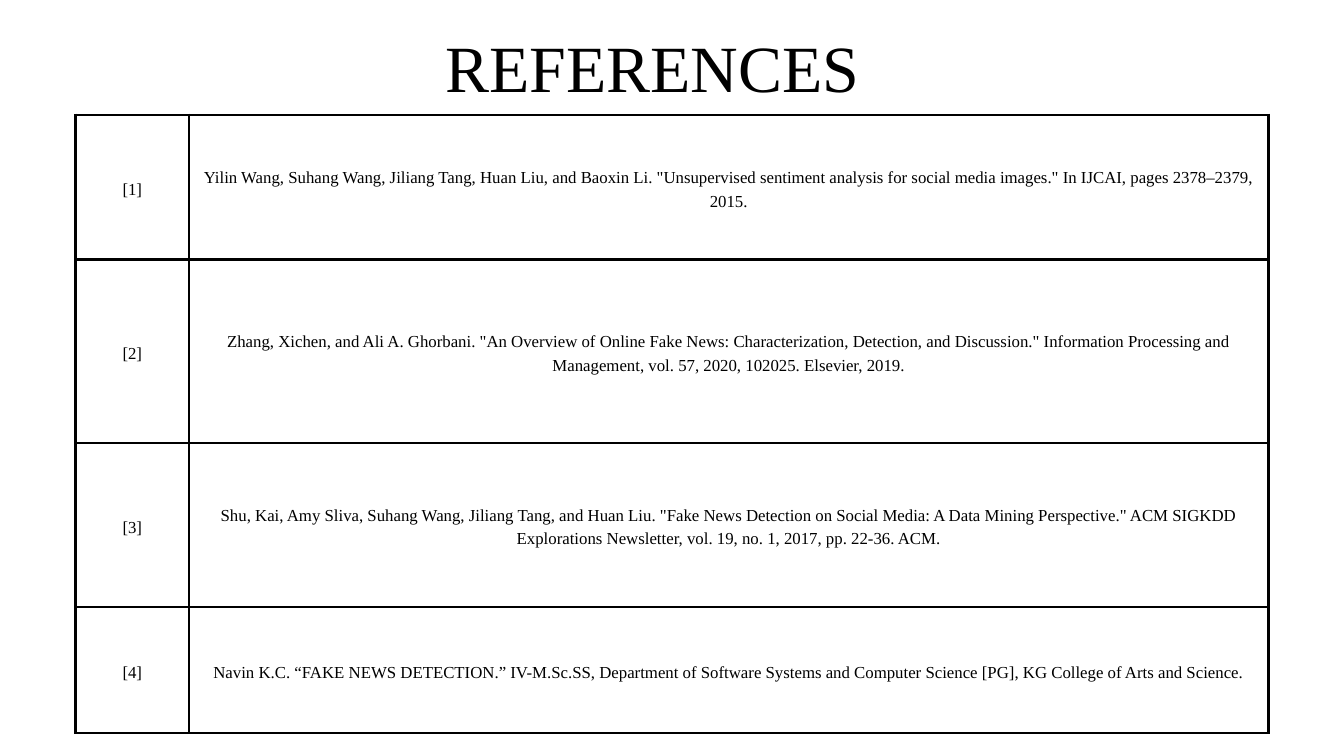
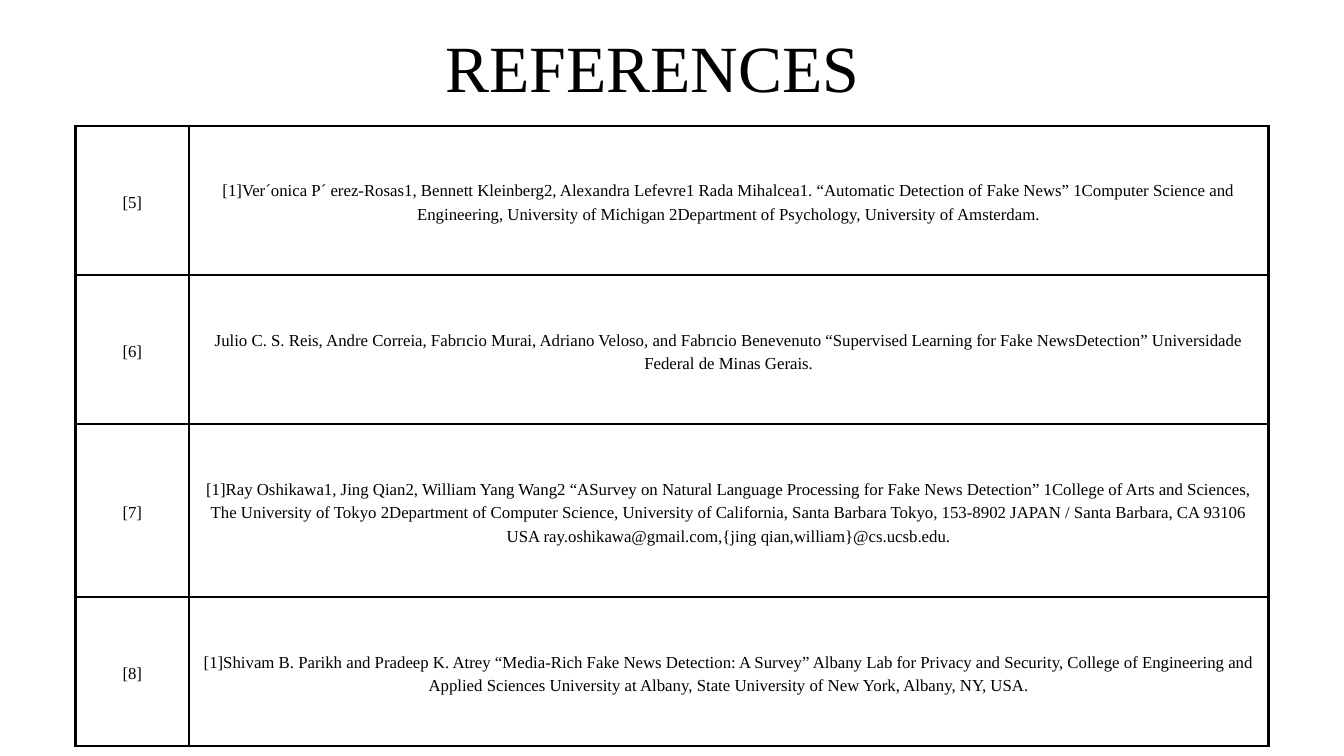
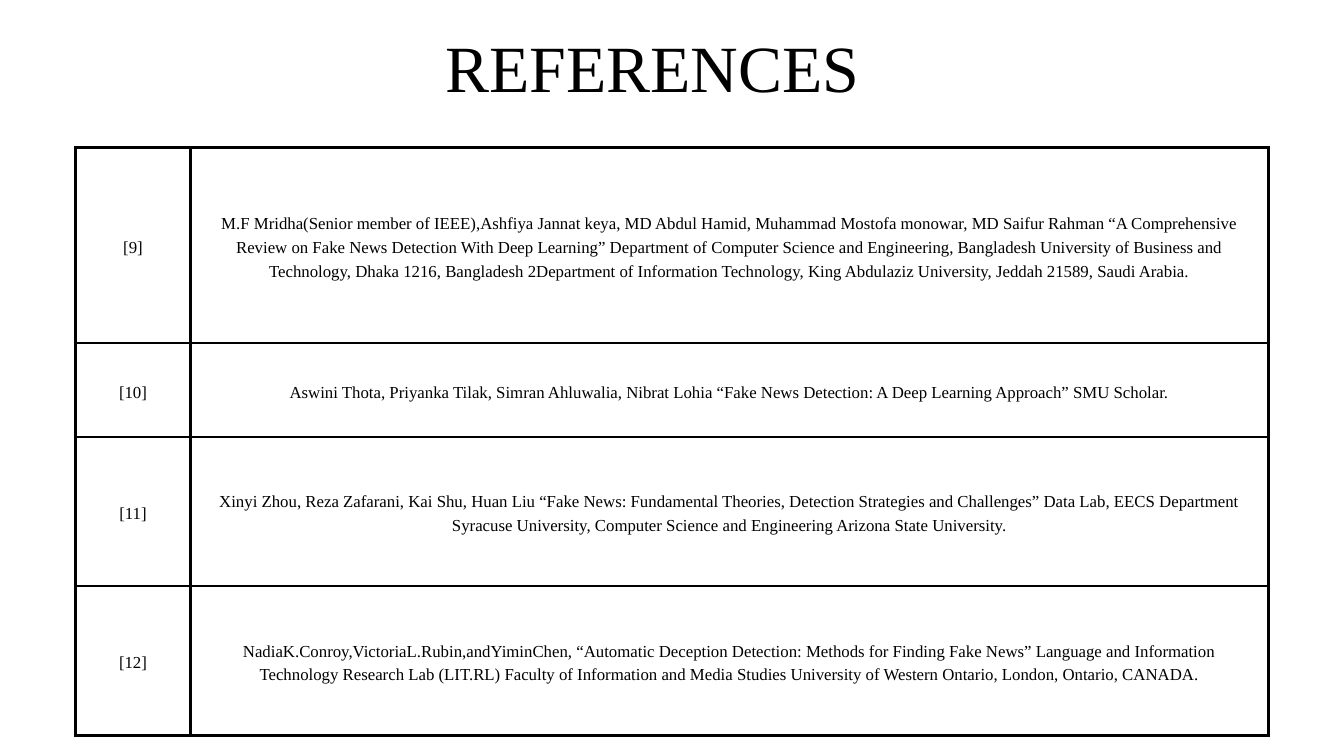
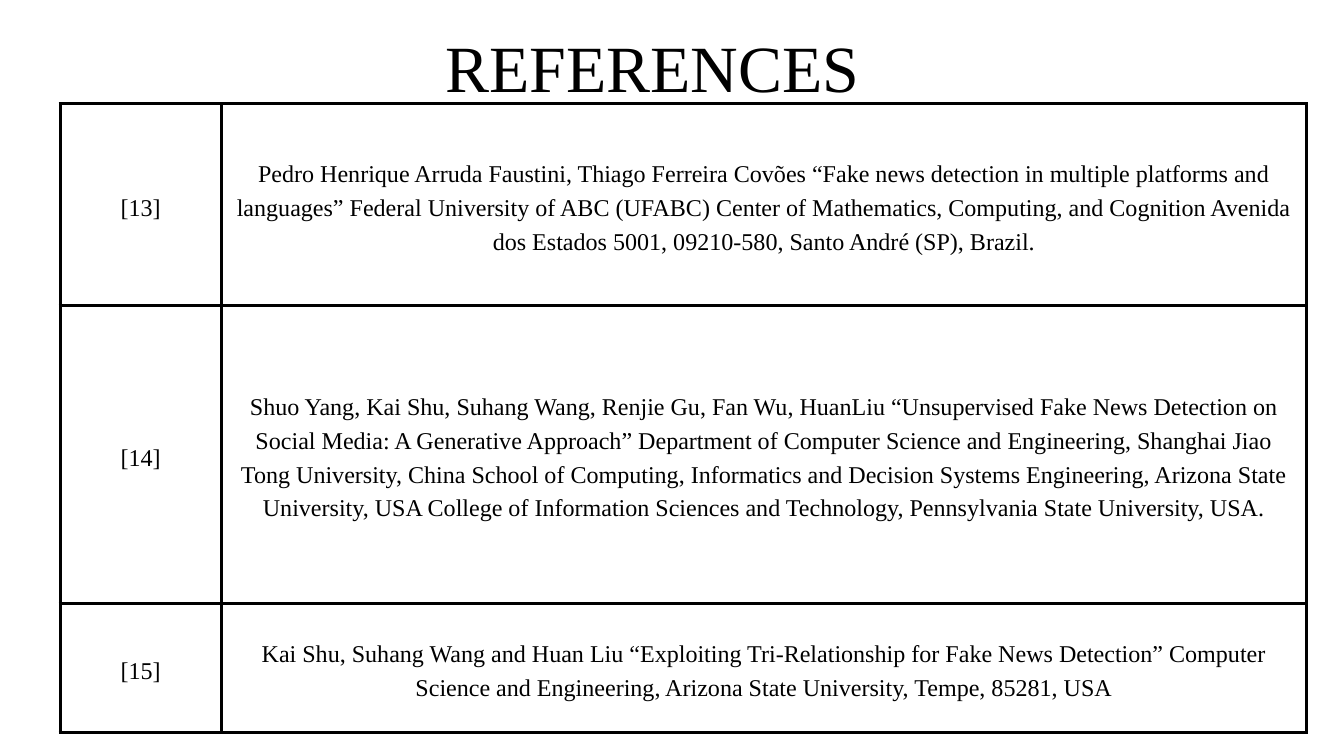
import dataclasses

import lxml.etree
import pptx
import pptx.dml.color
import pptx.enum.text
import pptx.oxml.ns
import pptx.util

TITLE = "REFERENCES"

# Each row is (height in px, citation); citations are numbered on through the deck.
SLIDES = [
    {
        "place": (108, 164), "columns": (162, 1542), "style": "regular",
        "rows": [
            (207, 'Yilin Wang, Suhang Wang, Jiliang Tang, Huan Liu, and Baoxin Li. "Unsupervised sentiment '
                  'analysis for social media images." In IJCAI, pages 2378–2379, 2015.'),
            (262, 'Zhang, Xichen, and Ali A. Ghorbani. "An Overview of Online Fake News: Characterization, '
                  'Detection, and Discussion." Information Processing and Management, vol. 57, 2020, 102025. '
                  'Elsevier, 2019.'),
            (234, 'Shu, Kai, Amy Sliva, Suhang Wang, Jiliang Tang, and Huan Liu. "Fake News Detection on '
                  'Social Media: A Data Mining Perspective." ACM SIGKDD Explorations Newsletter, vol. 19, '
                  'no. 1, 2017, pp. 22-36. ACM.'),
            (180, "Navin K.C. “FAKE NEWS DETECTION.” IV-M.Sc.SS, Department of Software Systems and Computer "
                  "Science [PG], KG College of Arts and Science."),
        ],
    },
    {
        "place": (108, 180), "columns": (162, 1542), "style": "regular",
        "rows": [
            (213, "[1]Ver´onica P´ erez-Rosas1, Bennett Kleinberg2, Alexandra Lefevre1 Rada Mihalcea1. "
                  "“Automatic Detection of Fake News” 1Computer Science and Engineering, University of "
                  "Michigan 2Department of Psychology, University of Amsterdam."),
            (213, "Julio C. S. Reis, Andre Correia, Fabrıcio Murai, Adriano Veloso, and Fabrıcio Benevenuto "
                  "“Supervised Learning for Fake NewsDetection” Universidade Federal de Minas Gerais."),
            (247, "[1]Ray Oshikawa1, Jing Qian2, William Yang Wang2 “ASurvey on Natural Language Processing "
                  "for Fake News Detection” 1College of Arts and Sciences, The University of Tokyo "
                  "2Department of Computer Science, University of California, Santa Barbara Tokyo, 153-8902 "
                  "JAPAN / Santa Barbara, CA 93106 USA ray.oshikawa@gmail.com,{jing "
                  "qian,william}@cs.ucsb.edu."),
            (213, "[1]Shivam B. Parikh and Pradeep K. Atrey “Media-Rich Fake News Detection: A Survey” Albany "
                  "Lab for Privacy and Security, College of Engineering and Applied Sciences University at "
                  "Albany, State University of New York, Albany, NY, USA."),
        ],
    },
    {
        "place": (108, 211), "columns": (164, 1540), "style": "regular",
        "rows": [
            (279, "M.F Mridha(Senior member of IEEE),Ashfiya Jannat keya, MD Abdul Hamid, Muhammad Mostofa "
                  "monowar, MD Saifur Rahman “A Comprehensive Review on Fake News Detection With Deep "
                  "Learning” Department of Computer Science and Engineering, Bangladesh University of "
                  "Business and Technology, Dhaka 1216, Bangladesh 2Department of Information Technology, "
                  "King Abdulaziz University, Jeddah 21589, Saudi Arabia."),
            (134, "Aswini Thota, Priyanka Tilak, Simran Ahluwalia, Nibrat Lohia “Fake News Detection: A Deep "
                  "Learning Approach” SMU Scholar."),
            (213, "Xinyi Zhou, Reza Zafarani, Kai Shu, Huan Liu “Fake News: Fundamental Theories, Detection "
                  "Strategies and Challenges” Data Lab, EECS Department Syracuse University, Computer "
                  "Science and Engineering Arizona State University."),
            (214, "NadiaK.Conroy,VictoriaL.Rubin,andYiminChen, “Automatic Deception Detection: Methods for "
                  "Finding Fake News” Language and Information Technology Research Lab (LIT.RL) Faculty of "
                  "Information and Media Studies University of Western Ontario, London, Ontario, CANADA."),
        ],
    },
    {
        "place": (86, 148), "columns": (230, 1551), "style": "large",
        "rows": [
            (289, "Pedro Henrique Arruda Faustini, Thiago Ferreira Covões “Fake news detection in multiple "
                  "platforms and languages” Federal University of ABC (UFABC) Center of Mathematics, "
                  "Computing, and Cognition Avenida dos Estados 5001, 09210-580, Santo André (SP), Brazil."),
            (425, "Shuo Yang, Kai Shu, Suhang Wang, Renjie Gu, Fan Wu, HuanLiu “Unsupervised Fake News "
                  "Detection on Social Media: A Generative Approach” Department of Computer Science and "
                  "Engineering, Shanghai Jiao Tong University, China School of Computing, Informatics and "
                  "Decision Systems Engineering, Arizona State University, USA College of Information "
                  "Sciences and Technology, Pennsylvania State University, USA."),
            (185, "Kai Shu, Suhang Wang and Huan Liu “Exploiting Tri-Relationship for Fake News Detection” "
                  "Computer Science and Engineering, Arizona State University, Tempe, 85281, USA"),
        ],
    },
]


@dataclasses.dataclass(frozen=True)
class TextStyle:
    size: float
    leading: float
    border: float = 0


@dataclasses.dataclass(frozen=True)
class Theme:
    font: str = "Times New Roman"
    ink: str = "000000"
    title: TextStyle = TextStyle(70.7, 83.5)
    regular: TextStyle = TextStyle(18, 25.2, 3)
    large: TextStyle = TextStyle(25.8, 36.1, 3.75)


THEME = Theme()
SLIDE_SIZE = (1920, 1080)
TITLE_BOX = (636, 39, 650, 125)
CELL_MARGIN = 20


def px(length):
    return pptx.util.Emu(length * 9525)


def set_margins(target, margin):
    target.margin_left = target.margin_right = px(margin)
    target.margin_top = target.margin_bottom = px(margin)


def write(frame, text, style, alignment):
    para = frame.paragraphs[0]
    para.text = text
    para.alignment = alignment
    para.line_spacing = pptx.util.Pt(style.leading)
    para.font.name = THEME.font
    para.font.size = pptx.util.Pt(style.size)
    para.font.color.rgb = pptx.dml.color.RGBColor.from_string(THEME.ink)


def add_borders(cell, width):
    """Rule all four sides; the schema wants the lines ahead of the cell fill."""
    properties = cell._tc.get_or_add_tcPr()
    qn = pptx.oxml.ns.qn
    for index, side in enumerate("LRTB"):
        line = lxml.etree.Element(qn(f"a:ln{side}"), w=str(pptx.util.Pt(width)))
        fill = lxml.etree.SubElement(line, qn("a:solidFill"))
        lxml.etree.SubElement(fill, qn("a:srgbClr"), val=THEME.ink)
        properties.insert(index, line)


def add_title(slide):
    box = slide.shapes.add_textbox(*map(px, TITLE_BOX))
    frame = box.text_frame
    frame.word_wrap = True
    frame.auto_size = pptx.enum.text.MSO_AUTO_SIZE.SHAPE_TO_FIT_TEXT
    set_margins(frame, 0)
    write(frame, TITLE, THEME.title, pptx.enum.text.PP_ALIGN.LEFT)


def add_references(slide, content, first_number):
    rows, columns = content["rows"], content["columns"]
    style = getattr(THEME, content["style"])
    size = (sum(columns), sum(height for height, _ in rows))
    table = slide.shapes.add_table(len(rows), len(columns), *map(px, content["place"] + size)).table
    table.first_row = table.horz_banding = False
    for column, width in zip(table.columns, columns):
        column.width = px(width)
    for number, (row, (height, citation)) in enumerate(zip(table.rows, rows), first_number):
        row.height = px(height)
        for cell, text in zip(row.cells, (f"[{number}]", citation)):
            cell.fill.background()
            cell.vertical_anchor = pptx.enum.text.MSO_ANCHOR.MIDDLE
            set_margins(cell, CELL_MARGIN)
            add_borders(cell, style.border)
            write(cell.text_frame, text, style, pptx.enum.text.PP_ALIGN.CENTER)


def main():
    deck = pptx.Presentation()
    deck.slide_width, deck.slide_height = map(px, SLIDE_SIZE)
    number = 1
    for content in SLIDES:
        slide = deck.slides.add_slide(deck.slide_layouts[6])
        add_references(slide, content, number)
        add_title(slide)
        number += len(content["rows"])
    deck.save("out.pptx")


if __name__ == "__main__":
    main()
